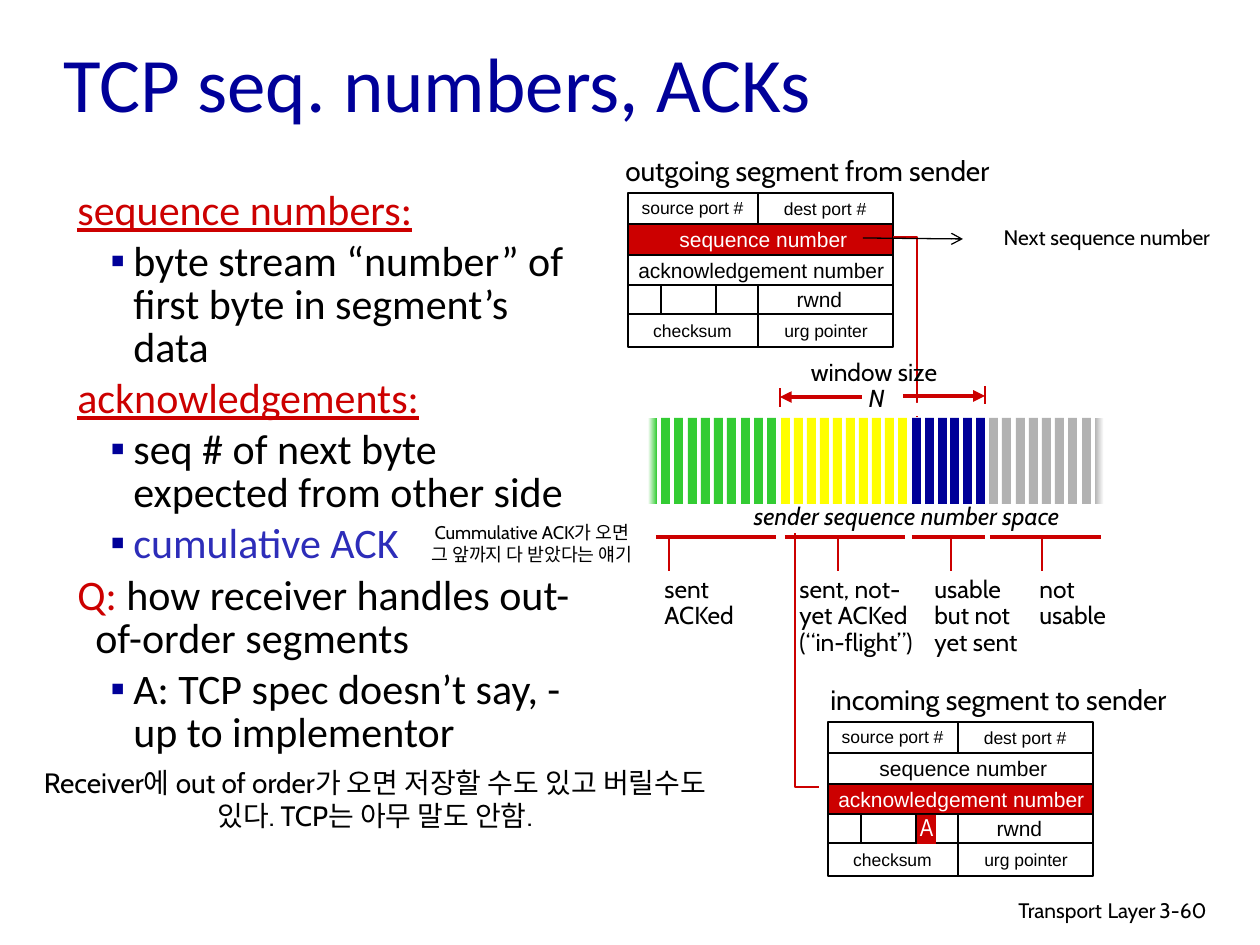
"""Build a slide on TCP sequence numbers and acknowledgements."""
from dataclasses import dataclass
from typing import NamedTuple, Optional

from pptx import Presentation
from pptx.dml.color import RGBColor
from pptx.enum.shapes import MSO_CONNECTOR, MSO_SHAPE
from pptx.enum.text import MSO_ANCHOR, MSO_AUTO_SIZE, PP_ALIGN
from pptx.oxml.ns import qn
from pptx.oxml.xmlchemy import OxmlElement
from pptx.util import Pt

PX = 914400 / 126
STRAIGHT, RECT = MSO_CONNECTOR.STRAIGHT, MSO_SHAPE.RECTANGLE
LEFT, CENTER, RIGHT = PP_ALIGN.LEFT, PP_ALIGN.CENTER, PP_ALIGN.RIGHT
TOP, MIDDLE = MSO_ANCHOR.TOP, MSO_ANCHOR.MIDDLE
FIT, FIXED = MSO_AUTO_SIZE.SHAPE_TO_FIT_TEXT, MSO_AUTO_SIZE.NONE

BLACK = RGBColor(0x00, 0x00, 0x00)
WHITE = RGBColor(0xFF, 0xFF, 0xFF)
NAVY = RGBColor(0x00, 0x00, 0x99)
BLUE = RGBColor(0x2D, 0x2D, 0xB9)
RED = RGBColor(0xCC, 0x00, 0x00)
GREEN = RGBColor(0x33, 0xCC, 0x33)
YELLOW = RGBColor(0xFF, 0xFF, 0x00)
GREY = RGBColor(0xB2, 0xB2, 0xB2)


class Box(NamedTuple):
    left: int
    top: int
    width: int
    height: int


class Run(NamedTuple):
    text: str
    formats: dict = {}


@dataclass
class Paragraph:
    runs: list[Run]
    indent: int = 0
    hang: int = 0
    bullet: str = ""


@dataclass
class Label:
    box: Box
    paragraphs: list[Paragraph]
    size: float = 14
    font: str = "Cabin"
    color: RGBColor = BLACK
    align: PP_ALIGN = LEFT
    fit: MSO_AUTO_SIZE = FIT
    anchor: MSO_ANCHOR = TOP
    spacing: float = 1.0
    before: float = 0


class Rule(NamedTuple):
    x1: int
    y1: int
    x2: int
    y2: int
    color: RGBColor = BLACK
    weight: float = 0.75
    arrow: str = ""


class Band(NamedTuple):
    color: RGBColor
    first: int
    last: int
    count: int
    fade: Optional[tuple[int, RGBColor, RGBColor]] = None


class Segment(NamedTuple):
    left: int
    top: int
    highlight: Box
    highlighted_field: str
    title: Label
    leader: list[tuple[int, int]]


def emu(*lengths: int) -> list[int]:
    return [round(length * PX) for length in lengths]


def plain(*lines: str) -> list[Paragraph]:
    return [Paragraph([Run(line)]) for line in lines]


def heading(text: str) -> Paragraph:
    return Paragraph([Run(text, {"underline": True, "color": RED})], 33, -18)


def point(text: str, color: RGBColor = BLACK) -> Paragraph:
    return Paragraph([Run(text, {"color": color})], 71, -23, "▪")


def indent_paragraph(properties, paragraph: Paragraph) -> None:
    indent, hang = emu(paragraph.indent, paragraph.hang)
    properties.set("marL", str(indent))
    properties.set("indent", str(hang))
    if paragraph.bullet:
        bullet_color = OxmlElement("a:buClr")
        swatch = OxmlElement("a:srgbClr")
        swatch.set("val", str(NAVY))
        bullet_color.append(swatch)
        bullet_font = OxmlElement("a:buFont")
        bullet_font.set("typeface", "Arial")
        bullet = OxmlElement("a:buChar")
        bullet.set("char", paragraph.bullet)
        properties.extend([bullet_color, bullet_font, bullet])


def draw_label(shapes, label: Label) -> None:
    frame = shapes.add_textbox(*emu(*label.box)).text_frame
    for name, value in {"word_wrap": True, "auto_size": label.fit,
                        "vertical_anchor": label.anchor}.items():
        setattr(frame, name, value)
    for index, paragraph in enumerate(label.paragraphs):
        line = frame.add_paragraph() if index else frame.paragraphs[0]
        for name, value in {"alignment": label.align, "line_spacing": label.spacing,
                            "space_before": Pt(label.before)}.items():
            setattr(line, name, value)
        if paragraph.indent:
            indent_paragraph(line._p.get_or_add_pPr(), paragraph)
        for text, formats in paragraph.runs:
            run = line.add_run()
            run.text = text
            style = {"name": label.font, "size": Pt(label.size), "color": label.color, **formats}
            run.font.color.rgb = style.pop("color")
            for name, value in style.items():
                setattr(run.font, name, value)


def draw_rect(shapes, box: Box, fill: Optional[RGBColor] = None,
              outline: Optional[RGBColor] = None):
    rect = shapes.add_shape(RECT, *emu(*box))
    rect.shadow.inherit = False
    if fill is None:
        rect.fill.background()
    else:
        rect.fill.solid()
        rect.fill.fore_color.rgb = fill
    if outline is None:
        rect.line.fill.background()
    else:
        rect.line.color.rgb = outline
        rect.line.width = Pt(0.75)
    return rect


def draw_rule(shapes, rule: Rule) -> None:
    line = shapes.add_connector(STRAIGHT, *emu(*rule[:4]))
    line.line.color.rgb = rule.color
    line.line.width = Pt(rule.weight)
    properties = line._element.spPr
    if rule.arrow:
        head = OxmlElement("a:tailEnd")
        head.set("type", rule.arrow)
        properties.find(qn("a:ln")).append(head)
    properties.append(OxmlElement("a:effectLst"))


def draw_band(shapes, band: Band) -> None:
    pitch = (band.last - band.first) / (band.count - 1)
    for index in range(band.count):
        bar = draw_rect(shapes, Box(round(band.first + index * pitch), 418, 9, 86), band.color)
        if band.fade and band.fade[0] == index:
            bar.fill.gradient()
            bar.fill.gradient_angle = 0
            for stop, color in zip(bar.fill.gradient_stops, band.fade[1:]):
                stop.color.rgb = color


def draw_segment(shapes, segment: Segment) -> None:
    x, y = segment.left, segment.top
    draw_rect(shapes, segment.highlight, RED)
    draw_rect(shapes, Box(x, y, 265, 154), outline=BLACK)
    for name, left, top, width, height, size in FIELDS:
        color = WHITE if name == segment.highlighted_field else BLACK
        draw_label(shapes, Label(Box(x + left, y + top, width, height), plain(name),
                                 size, "Arial", color, CENTER))
    for row in (31, 62, 92, 121):
        draw_rule(shapes, Rule(x, y + row, x + 265, y + row))
    for column, start, end in ((130, 0, 31), (130, 92, 154), (88, 92, 121), (33, 92, 121)):
        draw_rule(shapes, Rule(x + column, y + start, x + column, y + end))
    draw_label(shapes, segment.title)
    start, *corners = [emu(*corner) for corner in segment.leader]
    builder = shapes.build_freeform(*start)
    builder.add_line_segments(corners, close=False)
    leader = builder.convert_to_shape()
    leader.shadow.inherit = False
    leader.fill.background()
    leader.line.color.rgb = RED
    leader.line.width = Pt(0.75)


FIELDS = [
    ("source port #", -9, -2, 147, 34, 10), ("dest port #", 132, -1, 130, 34, 10),
    ("sequence number", 36, 27, 199, 38, 12), ("acknowledgement number", -3, 58, 273, 38, 12),
    ("checksum", 3, 121, 123, 34, 10), ("rwnd", 146, 87, 91, 38, 12),
    ("urg pointer", 134, 121, 128, 34, 10),
]
SEGMENTS = [
    Segment(828, 722, Box(829, 785, 263, 29), "acknowledgement number",
            Label(Box(800, 676, 397, 47), plain("incoming segment to sender"), 16,
                  align=CENTER), [(819, 787), (795, 787), (795, 525)]),
    Segment(628, 193, Box(629, 224, 263, 30), "sequence number",
            Label(Box(594, 147, 427, 47), plain("outgoing segment from sender"), 16,
                  align=CENTER), [(893, 237), (917, 237), (917, 417)]),
]
BANDS = [Band(GREEN, 648, 767, 10, (0, WHITE, GREEN)), Band(YELLOW, 781, 898, 10),
         Band(NAVY, 912, 976, 6), Band(GREY, 989, 1095, 9, (8, GREY, WHITE))]
RULES = [Rule(x1, 537, x2, 537, RED, 2.25)
         for x1, x2 in ((656, 776), (785, 905), (990, 1101), (912, 985))]
RULES += [Rule(x, 539, x, 571, RED) for x in (669, 838, 951, 1042)]
RULES += [Rule(903, 396, 985, 396, RED, 2.25, "triangle"), Rule(985, 386, 985, 404, RED),
          Rule(862, 397, 780, 397, RED, 2.25, "triangle"), Rule(780, 407, 780, 388, RED),
          Rule(863, 238, 963, 239, arrow="arrow")]
OUTLINE = [
    heading("sequence numbers:"), point("byte stream “number” of first byte in segment’s data"),
    heading("acknowledgements:"), point("seq # of next byte expected from other side"),
    point("cumulative ACK", BLUE),
    Paragraph([Run("Q:", {"color": RED}), Run(" how receiver handles out-of-order segments")],
              33, -18),
    point("A: TCP spec doesn’t say, - up to implementor"),
]
ITALIC = {"italic": True}
LABELS = [
    Label(Box(769, 888, 399, 39), [Paragraph([Run("Transport"), Run(" ", {"size": Pt(14)}),
                                              Run("Layer")])], 12, align=RIGHT, fit=FIXED),
    Label(Box(1147, 891, 93, 38), plain("3-60"), 12, fit=FIXED),
    Label(Box(51, 21, 1071, 122), plain("TCP seq. numbers, ACKs"), 44, "Calibri", NAVY,
          fit=FIXED, anchor=MIDDLE),
    Label(Box(50, 185, 542, 640), OUTLINE, 24, "Calibri", fit=FIXED, spacing=0.85, before=4.8),
    Label(Box(652, 571, 110, 66), plain("sent", "ACKed"), spacing=0.9),
    Label(Box(787, 571, 147, 92), plain("sent, not-yet ACKed", "(“in-flight”)"), spacing=0.9),
    Label(Box(922, 571, 147, 92), plain("usable", "but not", "yet sent"), spacing=0.9),
    Label(Box(1027, 571, 113, 66), plain("not", "usable"), spacing=0.9),
    Label(Box(784, 354, 180, 66), plain("window size") + [Paragraph([Run(" N", ITALIC)])],
          align=CENTER, spacing=0.9),
    Label(Box(659, 495, 438, 42), [Paragraph([Run("sender sequence number space ", ITALIC)], 63)],
          align=CENTER),
    Label(Box(28, 759, 694, 81), plain("Receiver에 out of order가 오면 저장할 수도 있고 "
                                       "버릴수도 있다. TCP는 아무 말도 안함."), 16, align=CENTER),
    Label(Box(974, 218, 266, 38), plain("Next sequence number"), 12, align=CENTER),
    Label(Box(413, 515, 238, 79), plain("Cummulative ACK가 오면 그 앞까지 다 받았다는 얘기"),
          10.5, align=CENTER),
]


def main() -> None:
    deck = Presentation()
    deck.slide_width, deck.slide_height = emu(1260, 945)
    shapes = deck.slides.add_slide(deck.slide_layouts[6]).shapes
    for segment in SEGMENTS:
        draw_segment(shapes, segment)
    draw_rect(shapes, Box(917, 815, 19, 29), RED)
    draw_label(shapes, Label(Box(902, 806, 49, 42), plain("A"), 14, "Arial Narrow", WHITE, CENTER))
    for band in BANDS:
        draw_band(shapes, band)
    for margin in (Box(641, 520, 470, 13), Box(653, 403, 470, 13)):
        draw_rect(shapes, margin, WHITE)
    for rule in RULES:
        draw_rule(shapes, rule)
    for label in LABELS:
        draw_label(shapes, label)
    deck.save("out.pptx")


if __name__ == "__main__":
    main()
